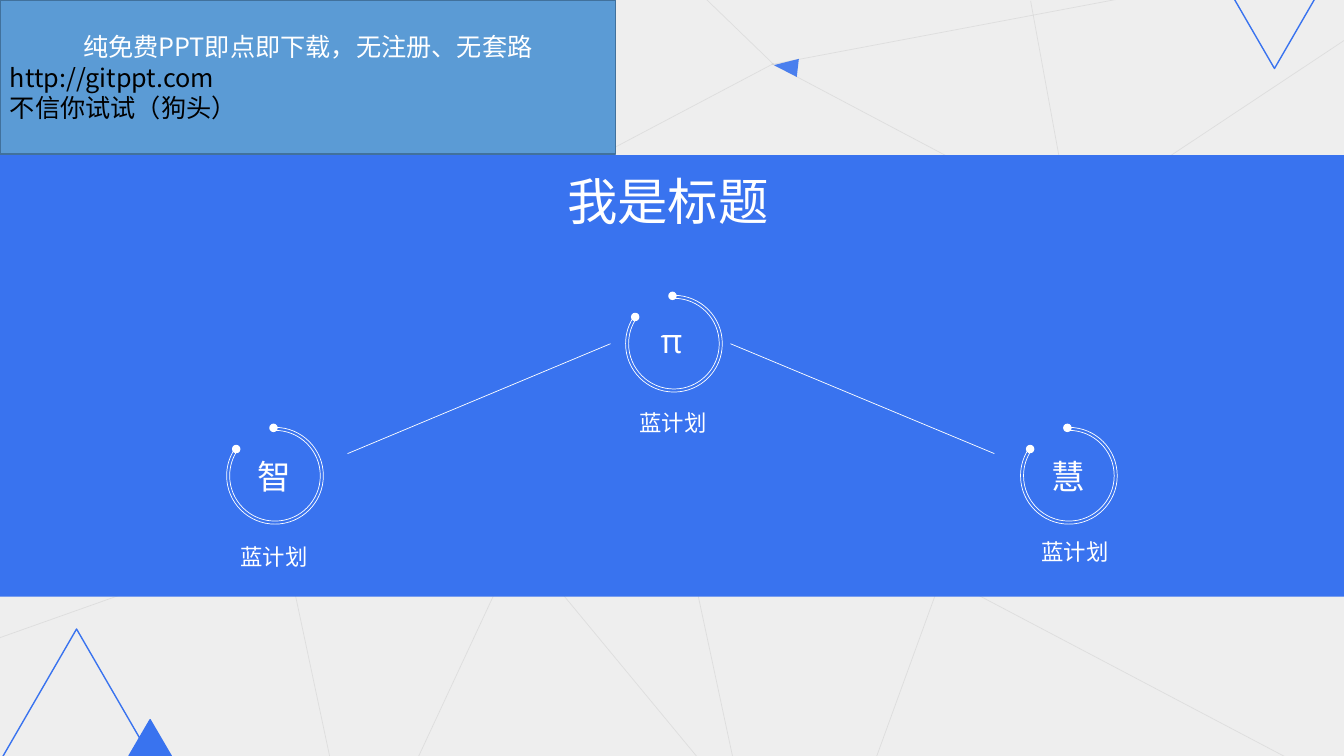
"""Build a title slide with three linked rings on a blue band."""
from itertools import pairwise
from math import cos, radians, sin, tan

from lxml import etree
from pptx import Presentation
from pptx.dml.color import RGBColor
from pptx.enum.shapes import MSO_CONNECTOR, MSO_SHAPE
from pptx.enum.text import MSO_ANCHOR, MSO_AUTO_SIZE, PP_ALIGN
from pptx.oxml.ns import qn
from pptx.util import Pt

PX = 9144
LINE = MSO_CONNECTOR.STRAIGHT
RECTANGLE, OVAL, TRIANGLE = MSO_SHAPE.RECTANGLE, MSO_SHAPE.OVAL, MSO_SHAPE.ISOSCELES_TRIANGLE
LEFT, CENTER = PP_ALIGN.LEFT, PP_ALIGN.CENTER
TOP, MIDDLE = MSO_ANCHOR.TOP, MSO_ANCHOR.MIDDLE
NO_AUTOFIT = MSO_AUTO_SIZE.NONE

BLUE, WHITE, BLACK = "3973EF", "FFFFFF", "000000"
PALE, GREY = "EEEEEE", "BFBFBF"
BANNER_FILL, BANNER_EDGE = "5B9BD5", "41719C"
TITLE_FONT, CJK_FONT = "Open Sans", "Noto Sans CJK SC"

SLIDE_SIZE = (1334, 750)
BACKDROP = (-10, -4, 1345, 754)
BAND = (-10, 154, 1345, 438)
TITLE = ("我是标题", (553, 164, 226, 70))
BANNER_BOX = (0, 0, 611, 153)
BANNER_LINES = [
    ("纯免费PPT即点即下载，无注册、无套路", CENTER, WHITE),
    ("http://gitppt.com", LEFT, BLACK),
    ("不信你试试（狗头）", LEFT, BLACK),
]
WEB_LINES = [
    (143, -4, 387, 266), (387, 265, 426, -4), (768, 63, 385, 265),
    (425, -4, 1, 131), (732, 773, 642, 353), (383, 820, 515, 537),
    (-46, 482, 206, 66), (1063, 220, 855, 792), (426, 1, 644, 354),
    (1063, 220, 766, 63), (1295, 761, 934, 571), (345, 834, 281, 533),
    (-115, 176, 386, 265), (-4, 634, 281, 533), (1063, 220, 1023, 1),
    (768, 64, 649, -51), (1195, -17, 766, 64), (702, 763, 515, 537),
    (1351, 29, 1063, 220), (1389, 546, 1211, 460), (1368, 195, 1064, 220),
]
LINKS = [(345, 450, 606, 341), (987, 450, 725, 341)]
RINGS = [
    ((273, 472), "智", (246, 447, 54, 50), "蓝计划", (229, 534, 113, 37)),
    ((1061, 472), "慧", (1034, 447, 54, 50), "蓝计划", (1024, 529, 126, 37)),
    ((669, 341), "π", (646, 312, 42, 50), "蓝计划", (625, 401, 90, 37)),
]
OUTER_RADIUS, INNER_RADIUS = 48, 45
ARC_STOPS = (-90, 0, 90, 180, 216)
DOT_CORNERS, DOT_SIZE = [(-42, -30), (-5, -51)], 7
TRIANGLES = [
    ((771, 54, 18, 24), 276.6, BLUE, None, 90),
    ((-45, 624, 242, 209), 0, None, BLUE, 100),
    ((1144, -141, 242, 209), 180, None, BLUE, 100),
    ((128, 714, 42, 36), 0, BLUE, BLUE, 100),
]


def color(value):
    return RGBColor.from_string(value)


def emu(lengths):
    return [round(length * PX) for length in lengths]


def set_opacity(fill_owner, percent):
    for color_element in fill_owner.iter(qn("a:srgbClr")):
        etree.SubElement(color_element, qn("a:alpha")).set("val", str(percent * 1000))


def paint(shape, fill=None, edge=None, width=1):
    shape.shadow.inherit = False
    if fill:
        shape.fill.solid()
        shape.fill.fore_color.rgb = color(fill)
    else:
        shape.fill.background()
    if edge:
        shape.line.color.rgb = color(edge)
        shape.line.width = Pt(width)
    else:
        shape.line.fill.background()


def add_shape(slide, kind, box, fill=None, edge=None):
    shape = slide.shapes.add_shape(kind, *emu(box))
    paint(shape, fill, edge)
    return shape


def add_line(slide, ends, line_color, opacity=100):
    connector = slide.shapes.add_connector(LINE, *emu(ends))
    connector.line.color.rgb = color(line_color)
    connector.line.width = Pt(0.5)
    properties = connector._element.spPr
    if opacity < 100:
        set_opacity(properties, opacity)
    etree.SubElement(properties, qn("a:effectLst"))


def write(shape, lines, size, font_name, anchor=TOP):
    frame = shape.text_frame
    frame.text = "\n".join(text for text, _, _ in lines)
    frame.word_wrap = True
    frame.auto_size = NO_AUTOFIT
    frame.vertical_anchor = anchor
    for paragraph, (_, alignment, text_color) in zip(frame.paragraphs, lines):
        paragraph.alignment = alignment
        paragraph.line_spacing = 1.0
        for run in paragraph.runs:
            run.font.size = Pt(size)
            run.font.name = font_name
            run.font.color.rgb = color(text_color)
            east_asian = etree.SubElement(run.font._element, qn("a:ea"))
            east_asian.set("typeface", CJK_FONT)


def add_text(slide, text, box, size):
    write(slide.shapes.add_textbox(*emu(box)), [(text, LEFT, WHITE)], size, TITLE_FONT)


def arc(center, radius):
    def place(angle, bend=0):
        across, down = cos(radians(angle)), sin(radians(angle))
        return emu((center[0] + radius * (across - bend * down),
                    center[1] + radius * (down + bend * across)))

    points = [place(ARC_STOPS[0])]
    for start, end in pairwise(ARC_STOPS):
        bend = 4 / 3 * tan(radians(end - start) / 4)
        points += [place(start, bend), place(end, -bend), place(end)]
    return points


def bend_segments(shape, first_steps):
    steps = list(shape._element.iter(qn("a:lnTo")))
    for first in first_steps:
        curve = steps[first].makeelement(qn("a:cubicBezTo"))
        steps[first].addprevious(curve)
        for step in steps[first:first + 3]:
            curve.append(step[0])
            step.getparent().remove(step)


def add_ring(slide, center, symbol, symbol_box, label, label_box):
    outer, inner = arc(center, OUTER_RADIUS), arc(center, INNER_RADIUS)[::-1]
    builder = slide.shapes.build_freeform(*outer[0])
    builder.add_line_segments(outer[1:] + inner, close=True)
    ring = builder.convert_to_shape()
    count = len(outer)
    bend_segments(ring, [*range(0, count - 1, 3), *range(count, 2 * count - 1, 3)])
    paint(ring, edge=WHITE, width=0.5)
    for offset in DOT_CORNERS:
        corner = [middle + shift for middle, shift in zip(center, offset)]
        add_shape(slide, OVAL, (*corner, DOT_SIZE, DOT_SIZE), WHITE, WHITE)
    add_text(slide, symbol, symbol_box, 24)
    add_text(slide, label, label_box, 16)


def main():
    presentation = Presentation()
    presentation.slide_width, presentation.slide_height = emu(SLIDE_SIZE)
    slide = presentation.slides.add_slide(presentation.slide_layouts[5])

    add_shape(slide, RECTANGLE, BACKDROP, PALE)
    for ends in WEB_LINES:
        add_line(slide, ends, GREY, 35)
    add_shape(slide, RECTANGLE, BAND, BLUE)

    title_text, title_box = TITLE
    title = slide.shapes.title
    title.left, title.top, title.width, title.height = emu(title_box)
    write(title, [(title_text, LEFT, WHITE)], 36, TITLE_FONT)
    title._element.getparent().append(title._element)

    for ring in RINGS:
        add_ring(slide, *ring)
    for box, rotation, fill, edge, opacity in TRIANGLES:
        triangle = add_shape(slide, TRIANGLE, box, fill, edge)
        triangle.rotation = rotation
        if opacity < 100:
            set_opacity(triangle._element.spPr, opacity)
    for ends in LINKS:
        add_line(slide, ends, WHITE)

    banner = add_shape(slide, RECTANGLE, BANNER_BOX, BANNER_FILL, BANNER_EDGE)
    write(banner, BANNER_LINES, 18, CJK_FONT, MIDDLE)
    presentation.save("out.pptx")


if __name__ == "__main__":
    main()
